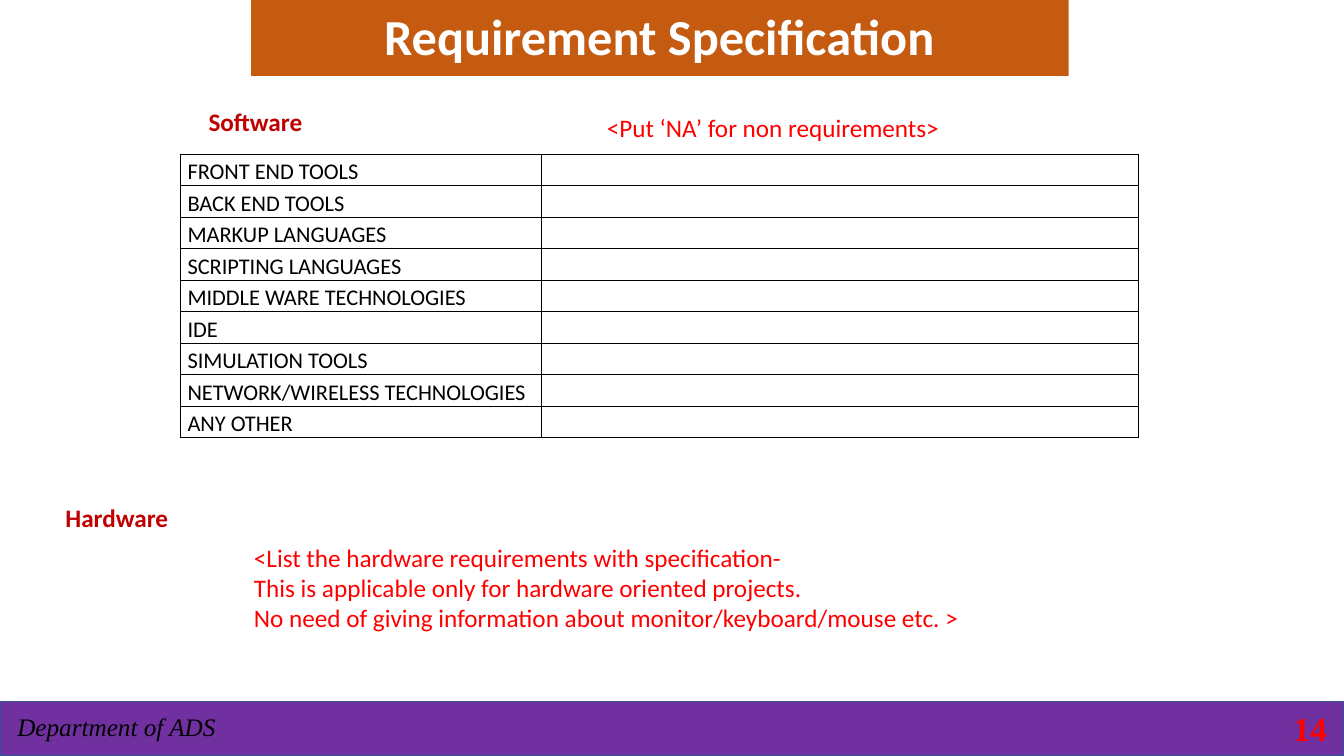
"""Build the requirement specification slide."""
from lxml.etree import SubElement
from pptx import Presentation
from pptx.dml.color import RGBColor as Rgb
from pptx.enum.shapes import MSO_SHAPE as Shape
from pptx.enum.text import MSO_ANCHOR as Anchor, PP_ALIGN as Align
from pptx.oxml.ns import qn
from pptx.util import Emu, Pt

INK = {"purple": "7030A0", "edge": "325491", "orange": "C55A11", "white": "FFFFFF",
       "black": "000000", "red": "FF0000", "dark": "C00000"}
SCALE = 9144
WIDE, HIGH = 1333, 750

TOOLS = ["FRONT END TOOLS", "BACK END TOOLS", "MARKUP LANGUAGES", "SCRIPTING LANGUAGES",
         "MIDDLE WARE TECHNOLOGIES", "IDE", "SIMULATION TOOLS",
         "NETWORK/WIRELESS TECHNOLOGIES", "ANY OTHER"]
GRID = {"left": 179, "top": 153, "cols": (358, 592), "row": 30.7}

STYLE = {
    "title": {"name": "Calibri", "size": 36, "bold": True, "color": "white"},
    "head": {"name": "Calibri", "size": 18, "bold": True, "color": "dark"},
    "note": {"name": "Calibri", "size": 18, "color": "red"},
    "cell": {"name": "Calibri", "size": 16, "color": "black"},
    "foot": {"name": "Times New Roman", "size": 18, "italic": True, "color": "black"},
    "page": {"name": "Times New Roman", "size": 24, "bold": True, "color": "red"},
}

BARS = [
    ((0, 696, WIDE, 54), "purple", "edge", 1, []),
    ((248, -6, 812, 82), "orange", "white", 0.25, ["Requirement Specification"]),
]

TEXTS = [
    ((6, 701, 219, 40), "foot", Align.CENTER, False, ["Department of ADS"]),
    ((1026, 702, 300, 40), "page", Align.RIGHT, True, ["14"]),
    ((592, 107, 378, 40), "note", Align.LEFT, False, ["<Put ‘NA’ for non requirements>"]),
    ((197, 101, 127, 40), "head", Align.LEFT, False, ["Software"]),
    ((55, 493, 135, 40), "head", Align.LEFT, False, ["Hardware"]),
    ((242, 533, 773, 101), "note", Align.LEFT, False, [
        "<List the hardware requirements with specification-",
        "This is applicable only for hardware oriented projects.",
        "No need of giving information about monitor/keyboard/mouse etc. >"]),
]


def px(*vals):
    return [Emu(round(v * SCALE)) for v in vals]


def tint(name):
    return Rgb.from_string(INK[name])


def write(frame, lines, style, align):
    for i, line in enumerate(lines):
        para = frame.add_paragraph() if i else frame.paragraphs[0]
        para.alignment = align
        run = para.add_run()
        run.text = line
        for key, val in STYLE[style].items():
            if key == "color":
                run.font.color.rgb = tint(val)
            else:
                setattr(run.font, key, Pt(val) if key == "size" else val)


def add_bar(slide, box, fill, edge, width, lines):
    bar = slide.shapes.add_shape(Shape.RECTANGLE, *px(*box))
    bar.shadow.inherit = False
    bar.fill.solid()
    bar.fill.fore_color.rgb = tint(fill)
    bar.line.color.rgb = tint(edge)
    bar.line.width = Pt(width)
    bar.text_frame.vertical_anchor = Anchor.MIDDLE
    write(bar.text_frame, lines, "title", Align.CENTER)


def add_text(slide, box, style, align, wrap, lines):
    frame = slide.shapes.add_textbox(*px(*box)).text_frame
    frame.word_wrap = wrap
    if style == "page":
        frame.vertical_anchor = Anchor.MIDDLE
    write(frame, lines, style, align)


def rule(cell):
    props = cell._tc.get_or_add_tcPr()
    for i, side in enumerate(("a:lnL", "a:lnR", "a:lnT", "a:lnB")):
        line = props.makeelement(qn(side), {"w": str(Pt(1))})
        props.insert(i, line)
        fill = SubElement(line, qn("a:solidFill"))
        SubElement(fill, qn("a:srgbClr"), val=INK["black"])


def add_grid(slide):
    cols, row = GRID["cols"], GRID["row"]
    box = px(GRID["left"], GRID["top"], sum(cols), row * len(TOOLS))
    table = slide.shapes.add_table(len(TOOLS), len(cols), *box).table
    table.first_row = table.horz_banding = False
    for col, width in zip(table.columns, px(*cols)):
        col.width = width
    pad = dict(zip(("left", "right", "top", "bottom"), px(7, 7, 0, 0)))
    for i, tool in enumerate(TOOLS):
        table.rows[i].height = px(row)[0]
        for cell in table.rows[i].cells:
            for side, gap in pad.items():
                setattr(cell, f"margin_{side}", gap)
            cell.fill.background()
            rule(cell)
        name, blank = table.rows[i].cells
        write(name.text_frame, [tool], "cell", Align.JUSTIFY)
        name.text_frame.paragraphs[0].line_spacing = 1.15
        SubElement(blank.text_frame.paragraphs[0]._p, qn("a:endParaRPr"), sz="1600")


def main():
    deck = Presentation()
    deck.slide_width, deck.slide_height = px(WIDE, HIGH)
    slide = deck.slides.add_slide(deck.slide_layouts[6])
    for bar in BARS:
        add_bar(slide, *bar)
    add_grid(slide)
    for text in TEXTS:
        add_text(slide, *text)
    deck.save("out.pptx")


if __name__ == "__main__":
    main()
